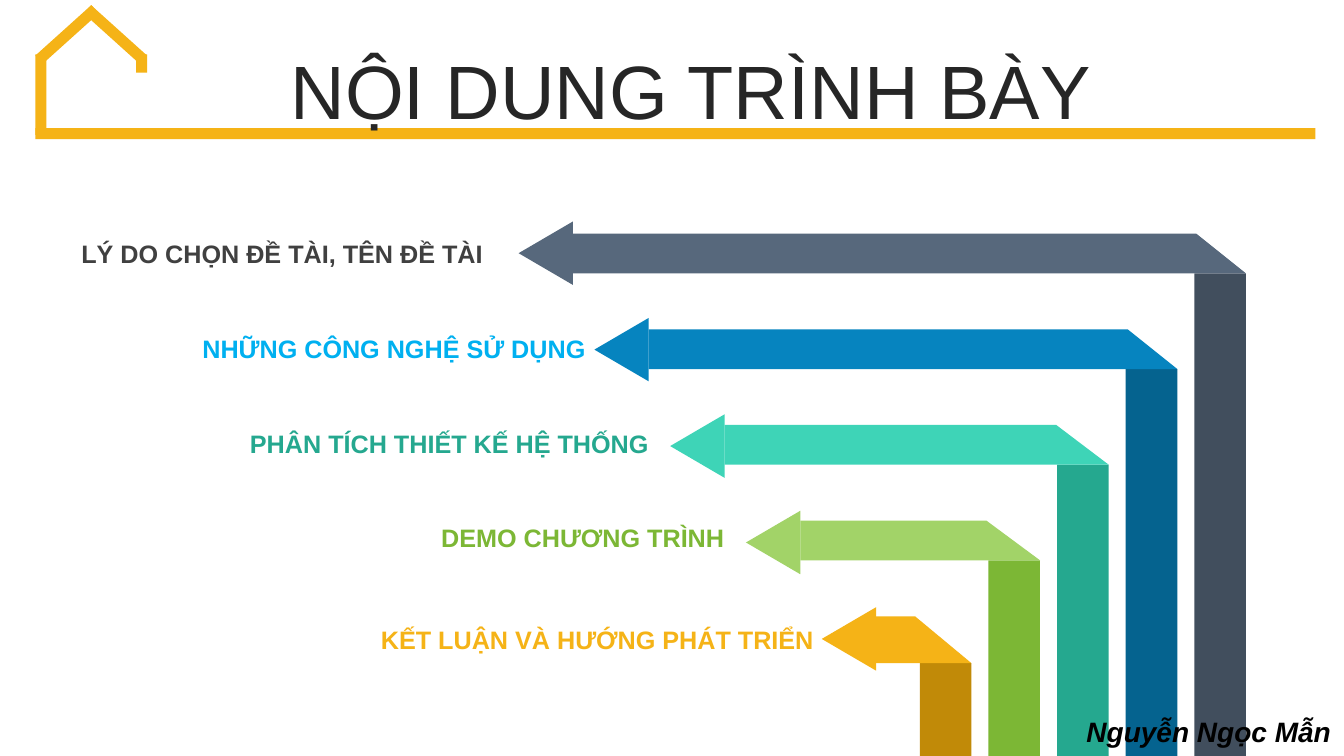
from pptx import Presentation
from pptx.dml.color import RGBColor
from pptx.enum.shapes import MSO_SHAPE
from pptx.enum.text import MSO_ANCHOR, PP_ALIGN
from pptx.util import Cm, Pt

SLIDE_W, SLIDE_H = 33.87, 19.05
COLORS = {
    "yellow": "F5B317", "brown": "C18A08",
    "slate": "57687C", "dark_slate": "414E5D",
    "blue": "0684BF", "dark_blue": "05638F", "sky": "00B0F0",
    "mint": "3ED4B7", "teal": "25A88F",
    "lime": "A2D368", "green": "7CB735",
    "title": "262626", "gray": "404040", "black": "000000",
}

# label, label box, label colour, bar colour, column colour, bar height, fold width
TOPICS = [
    ("LÝ DO CHỌN ĐỀ TÀI, TÊN ĐỀ TÀI", (1.8, 5.87, 11.28, 1.02),
     "gray", "slate", "dark_slate", 1, 1.25),
    ("NHỮNG CÔNG NGHỆ SỬ DỤNG", (4.85, 8.28, 10.26, 1.02),
     "sky", "blue", "dark_blue", 1, 1.25),
    ("PHÂN TÍCH THIẾT KẾ HỆ THỐNG", (6.05, 10.67, 10.85, 1.02),
     "teal", "mint", "teal", 1, 1.32),
    ("DEMO CHƯƠNG TRÌNH", (10.87, 13.03, 7.9, 1.02),
     "green", "lime", "green", 1, 1.35),
    ("KẾT LUẬN VÀ HƯỚNG PHÁT TRIỂN", (9.35, 15.6, 11.53, 1.02),
     "yellow", "yellow", "brown", 1.18, 1.42),
]


def paint(sp, color):
    sp.shadow.inherit = False
    sp.fill.solid()
    sp.fill.fore_color.rgb = RGBColor.from_string(COLORS[color])
    sp.line.fill.background()


def add_block(s, box, color, kind=MSO_SHAPE.RECTANGLE, rotation=0):
    sp = s.shapes.add_shape(kind, *map(Cm, box))
    sp.rotation = rotation
    paint(sp, color)


def add_text(s, box, text, color, font, paragraph=None, frame=None):
    """Add one line of text; the dicts hold attributes of its font, paragraph and frame."""
    tf = s.shapes.add_textbox(*map(Cm, box)).text_frame
    p = tf.paragraphs[0]
    r = p.add_run()
    r.text = text
    r.font.color.rgb = RGBColor.from_string(COLORS[color])
    formats = (
        (r.font, {"name": "Arial", **font}),
        (p, paragraph or {}),
        (tf, {"word_wrap": False, **(frame or {})}),
    )
    for target, values in formats:
        for name, value in values.items():
            setattr(target, name, value)


def draw_header(s, left, top, width, height):
    """Draw the house outline, its long base line and the title."""
    bar = 0.28
    parts = [
        (0, height - bar, width, bar, 0),
        (0, 1.37, bar, 2.03, 0),
        (2.54, 1.37, bar, 0.46, 0),
        (0.66, -0.08, bar, 1.9, 48),
        (1.88, -0.08, bar, 1.9, 312),
    ]
    for x, y, w, h, rotation in parts:
        add_block(s, (left + x, top + y, w, h), "yellow", rotation=rotation)
    add_text(s, (left + 0.89, top + 1.4, 31.27, 2), "NỘI DUNG TRÌNH BÀY", "title",
             {"size": Pt(54)},
             {"alignment": PP_ALIGN.CENTER, "line_spacing": 0.9, "space_before": Pt(10)},
             {"word_wrap": True, "vertical_anchor": MSO_ANCHOR.MIDDLE})


def draw_arrow(s, left, top, width, height, bar_color, column_color, inset, bar_h, fold):
    """Draw a column that folds into a bar and ends in a head pointing left."""
    column_w, head_w, head_h = 1.3, 1.37, 1.6
    right, bar_top = left + width, top + inset
    bar_left, bar_bottom = left + head_w, bar_top + bar_h
    add_block(s, (right - column_w, bar_bottom, column_w, top + height - bar_bottom),
              column_color)

    outline = [(bar_left, bar_top), (right - fold, bar_top),
               (right, bar_bottom), (bar_left, bar_bottom)]
    points = [(Cm(x), Cm(y)) for x, y in outline]
    builder = s.shapes.build_freeform(*points[0])
    builder.add_line_segments(points[1:], close=True)
    paint(builder.convert_to_shape(), bar_color)

    # The head is turned about its centre, so its width and height trade places.
    shift = (head_h - head_w) / 2
    add_block(s, (left - shift, top + shift, head_h, head_w), bar_color,
              MSO_SHAPE.ISOSCELES_TRIANGLE, 270)


def draw_topics(s, left, top, width, height):
    """Nest the arrows inside the box, each one smaller than the one before."""
    for i, (label, box, label_color, bar, column, bar_h, fold) in enumerate(TOPICS):
        draw_arrow(s, left + 1.91 * i, top + 2.43 * i,
                   width - (1.91 + 1.73) * i, height - 2.43 * i,
                   bar, column, 0.31 - 0.02 * i, bar_h, fold)
        add_text(s, box, label, label_color, {"size": Pt(18), "bold": True})


def main():
    prs = Presentation()
    prs.slide_width, prs.slide_height = Cm(SLIDE_W), Cm(SLIDE_H)
    s = prs.slides.add_slide(prs.slide_layouts[6])
    draw_header(s, 0.89, 0, 32.26, 3.51)
    draw_topics(s, 13.07, 5.58, 18.33, SLIDE_H - 5.58)
    add_text(s, (27.13, 17.88, 6.73, 1.12), "Nguyễn Ngọc Mẫn", "black",
             {"size": Pt(20), "bold": True, "italic": True})
    prs.save("out.pptx")


if __name__ == "__main__":
    main()
